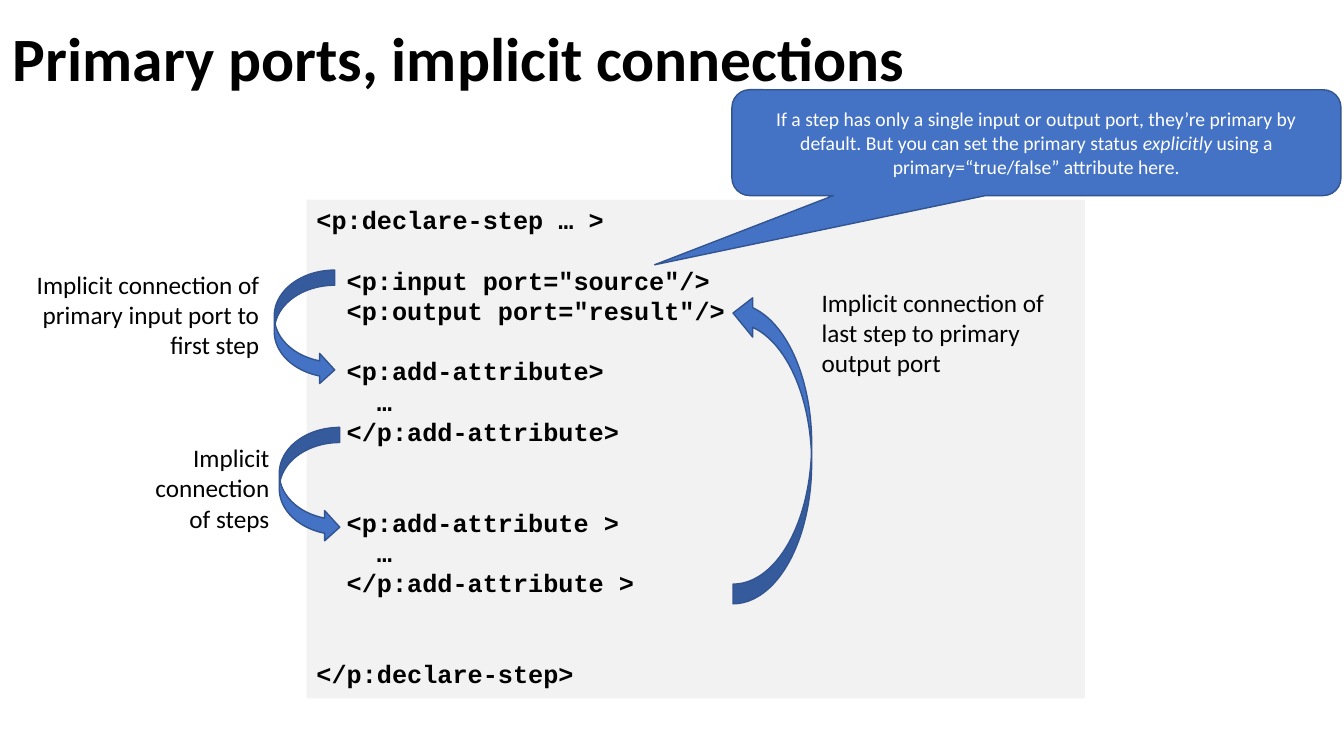
from pptx import Presentation
from pptx.dml.color import RGBColor
from pptx.enum.shapes import MSO_SHAPE
from pptx.enum.text import MSO_ANCHOR, PP_ALIGN
from pptx.util import Inches, Pt

BLACK, WHITE, PANEL, BLUE, OUTLINE = "000000", "FFFFFF", "F2F2F2", "4472C4", "325491"
LINE_PITCH = 21.6  # points per code line

TITLE = "Primary ports, implicit connections"
# (blank lines above, code)
CODE = [
    (0, "<p:declare-step … >"),
    (1, '  <p:input port="source"/>'),
    (0, '  <p:output port="result"/>'),
    (1, "  <p:add-attribute>"),
    (0, "    …"),
    (0, "  </p:add-attribute>"),
    (2, "  <p:add-attribute >"),
    (0, "    …"),
    (0, "  </p:add-attribute >"),
    (2, "</p:declare-step>"),
]
# (paragraphs, box, alignment)
NOTES = [
    (["Implicit connection of steps"], (1.43, 4.34, 1.34, 1.01), PP_ALIGN.RIGHT),
    (["Implicit connection of last step to primary output port"],
     (8.05, 2.8, 2.47, 1.01), PP_ALIGN.LEFT),
    (["Implicit connection of", "primary input port to first step"],
     (0.2, 2.62, 2.47, 1.01), PP_ALIGN.RIGHT),
]
# (box, rotation)
ARROWS = [
    ((2.77, 4.24, 0.6, 1.14), 0),
    ((7.27, 2.91, 0.78, 3.08), 180),
    ((2.72, 2.68, 0.6, 1.14), 0),
]
# (text, italic)
CALLOUT = [
    ("If a step has only a single input or output port, they’re primary by default. "
     "But you can set the primary status ", False),
    ("explicitly", True),
    (" using a primary=“true/false” attribute here.", False),
]


def rgb(value):
    return RGBColor.from_string(value)


def style(run, size, color=BLACK, font="Calibri", bold=False, italic=False):
    run.font.size, run.font.name = Pt(size), font
    run.font.bold, run.font.italic = bold, italic
    run.font.color.rgb = rgb(color)


def add_block(slide, kind, box, fill, line=None):
    block = slide.shapes.add_shape(kind, *map(Inches, box))
    block.shadow.inherit = False
    block.fill.solid()
    block.fill.fore_color.rgb = rgb(fill)
    if line:
        block.line.color.rgb = rgb(line)
        block.line.width = Pt(1)
    else:
        block.line.fill.background()
    block.text_frame.word_wrap = True
    return block


def add_label(slide, paragraphs, box, align, size, bold=False):
    frame = slide.shapes.add_textbox(*map(Inches, box)).text_frame
    frame.word_wrap = True
    frame.text = "\n".join(paragraphs)
    for paragraph in frame.paragraphs:
        paragraph.alignment = align
        style(paragraph.runs[0], size, bold=bold)
    return frame


def add_code(slide):
    frame = add_block(slide, MSO_SHAPE.RECTANGLE, (3.04, 1.98, 7.72, 4.95), PANEL).text_frame
    frame.vertical_anchor = MSO_ANCHOR.TOP
    frame.text = "\n".join(code for _, code in CODE)
    for paragraph, (blanks, _) in zip(frame.paragraphs, CODE):
        paragraph.alignment = PP_ALIGN.LEFT
        paragraph.line_spacing = Pt(LINE_PITCH)
        if blanks:
            paragraph.space_before = Pt(blanks * LINE_PITCH)
        style(paragraph.runs[0], 18, font="Courier New", bold=True)


def add_callout(slide):
    callout = add_block(slide, MSO_SHAPE.ROUNDED_RECTANGULAR_CALLOUT,
                        (7.26, 0.89, 6.04, 1.05), BLUE, OUTLINE)
    callout.adjustments[0] = -0.627
    callout.adjustments[1] = 1.154
    callout.text_frame.vertical_anchor = MSO_ANCHOR.MIDDLE
    paragraph = callout.text_frame.paragraphs[0]
    paragraph.alignment = PP_ALIGN.CENTER
    for text, italic in CALLOUT:
        run = paragraph.add_run()
        run.text = text
        style(run, 14, WHITE, italic=italic)


def main():
    deck = Presentation()
    deck.slide_width, deck.slide_height = Inches(13.33), Inches(7.5)
    slide = deck.slides.add_slide(deck.slide_layouts[6])
    add_code(slide)
    for box, rotation in ARROWS:
        arrow = add_block(slide, MSO_SHAPE.CURVED_RIGHT_ARROW, box, BLUE, OUTLINE)
        arrow.rotation = rotation
    for paragraphs, box, align in NOTES:
        add_label(slide, paragraphs, box, align, 18)
    title = add_label(slide, [TITLE], (0.03, -0.08, 11.99, 1.38), PP_ALIGN.LEFT, 44, bold=True)
    title.vertical_anchor = MSO_ANCHOR.MIDDLE
    title.paragraphs[0].line_spacing = 0.9
    add_callout(slide)
    deck.save("out.pptx")


if __name__ == "__main__":
    main()
